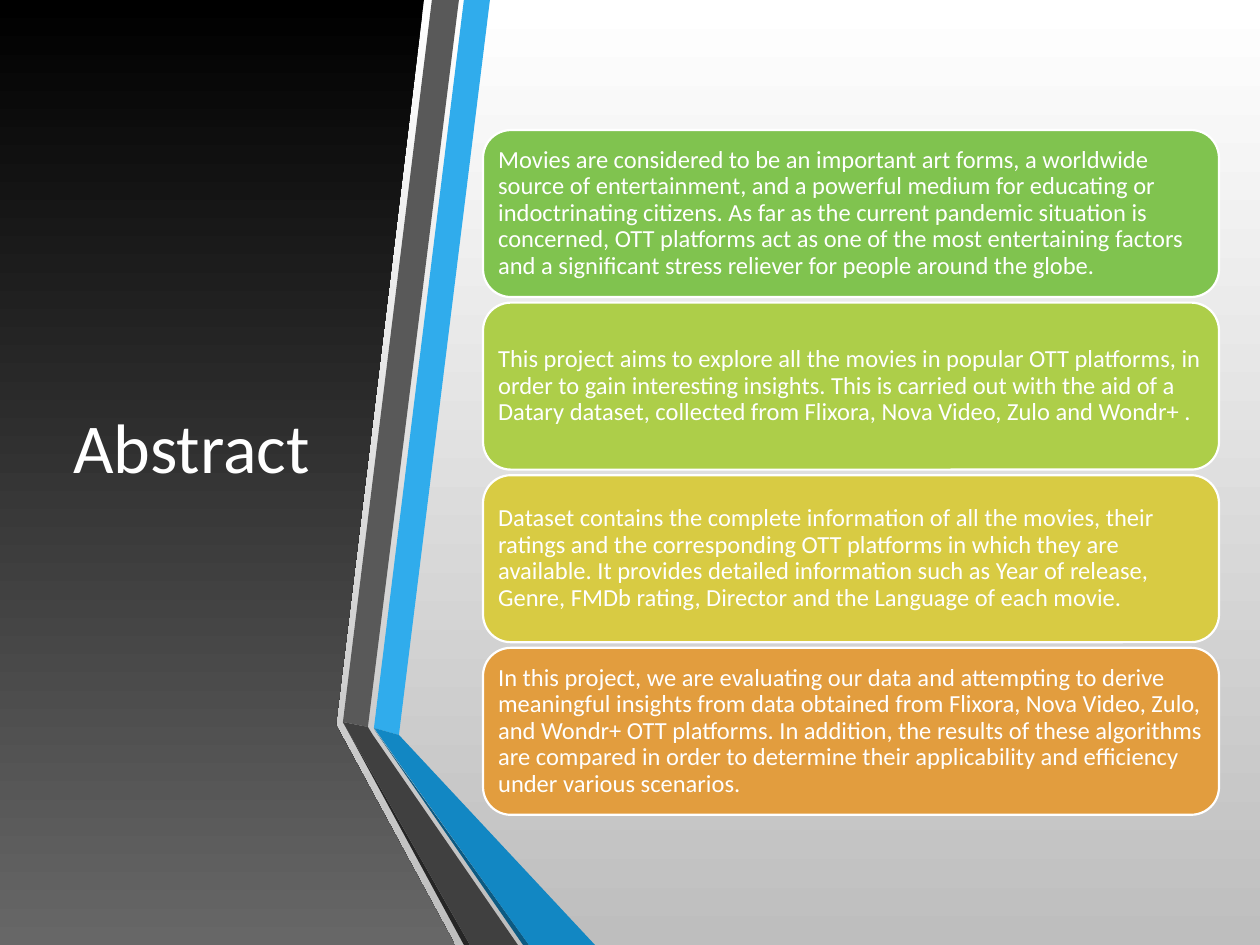
"""Build the Abstract slide: a dark title panel, folded ribbons and four text cards."""
from pptx import Presentation
from pptx import util as u
from pptx.dml.color import RGBColor
from pptx.enum import shapes, text

PX = 914400 / 126
FONT = "Calibri"
HUES = {
    "white": "FFFFFF", "silver": "BEBEBE", "black": "000000", "ash": "676767",
    "sky": "30ACEC", "blue": "1287C3", "navy": "0C5A82",
    "gray": "595959", "coal": "404040", "ink": "262626",
    "green": "80C34F", "lime": "ADCE49", "gold": "D8CB43", "orange": "E29D3E",
}
PANEL = [(0, 0), (424, 0), (336, 725), (455, 945), (0, 945)]
BANDS = [
    ("sky", [(374, 728), (399, 735), (490, 0), (464, 0)]),
    ("gray", [(459, 0), (432, 0), (343, 722), (368, 727)]),
    ("ink", [(343, 722), (464, 945), (470, 945)]),
    ("navy", [(374, 729), (523, 945), (529, 945)]),
    ("blue", [(374, 728), (529, 945), (595, 945), (399, 735)]),
    ("coal", [(518, 945), (373, 735), (368, 727), (343, 722), (470, 945)]),
]
CARDS = [
    ("green", "Movies are considered to be an important art forms, a worldwide "
     "source of entertainment, and a powerful medium for educating or "
     "indoctrinating citizens. As far as the current pandemic situation is "
     "concerned, OTT platforms act as one of the most entertaining factors "
     "and a significant stress reliever for people around the globe."),
    ("lime", "This project aims to explore all the movies in popular OTT platforms, in "
     "order to gain interesting insights. This is carried out with the aid of a "
     "Datary dataset, collected from Flixora, Nova Video, Zulo and Wondr+ ."),
    ("gold", "Dataset contains the complete information of all the movies, their "
     "ratings and the corresponding OTT platforms in which they are "
     "available. It provides detailed information such as Year of release, "
     "Genre, FMDb rating, Director and the Language of each movie."),
    ("orange", "In this project, we are evaluating our data and attempting to derive "
     "meaningful insights from data obtained from Flixora, Nova Video, "
     "Zulo, and Wondr+ OTT platforms. In addition, the results of these "
     "algorithms are compared in order to determine their applicability and "
     "efficiency under various scenarios."),
]


def px(n):
    """Turn px into EMU."""
    return u.Emu(round(n * PX))


def rgb(name):
    """Look up a colour by name."""
    return RGBColor.from_string(HUES[name])


def paint(fill, *names):
    """Fill with one colour, or with two from top to bottom."""
    if len(names) == 1:
        fill.solid()
        fill.fore_color.rgb = rgb(names[0])
        return
    fill.gradient()
    fill.gradient_angle = 270
    for stop, name in zip(fill.gradient_stops, names):
        stop.color.rgb = rgb(name)


def write(shape, words, size=14, hue="white", align=text.PP_ALIGN.LEFT, inset=7, lead=0.9):
    """Set the text of a shape and its format."""
    frame = shape.text_frame
    frame.word_wrap = True
    frame.auto_size = text.MSO_AUTO_SIZE.NONE
    frame.vertical_anchor = text.MSO_ANCHOR.MIDDLE
    frame.margin_left = frame.margin_right = px(inset)
    frame.margin_top = frame.margin_bottom = px(inset)
    para = frame.paragraphs[0]
    para.alignment, para.line_spacing = align, lead
    run = para.add_run()
    run.text = words
    run.font.name, run.font.size = FONT, u.Pt(size)
    run.font.color.rgb = rgb(hue)


def poly(slide, points, *names):
    """Draw a closed outline without a border."""
    pen = slide.shapes.build_freeform(*points[0], scale=PX)
    pen.add_line_segments(points[1:], close=True)
    shape = pen.convert_to_shape()
    shape.shadow.inherit = False
    shape.line.fill.background()
    paint(shape.fill, *names)


def card(slide, top, hue, words):
    """Draw a rounded card with its text."""
    shape = slide.shapes.add_shape(
        shapes.MSO_SHAPE.ROUNDED_RECTANGLE, px(483), px(top), px(736), px(167))
    shape.shadow.inherit = False
    paint(shape.fill, hue)
    shape.line.color.rgb, shape.line.width = rgb("white"), u.Pt(1.25)
    write(shape, words)


def head(slide, words):
    """Place the title on top of the panel."""
    title = slide.shapes.title
    title.element.getparent().append(title.element)
    title.left, title.top, title.width, title.height = px(55), px(94), px(273), px(703)
    write(title, words, size=40, align=text.PP_ALIGN.CENTER, lead=1.0)


def main():
    """Build and save the slide."""
    deck = Presentation()
    deck.slide_width, deck.slide_height = px(1260), px(945)
    slide = deck.slides.add_slide(deck.slide_layouts[5])
    paint(slide.background.fill, "white", "silver")
    poly(slide, PANEL, "black", "ash")
    head(slide, "Abstract")
    for hue, points in BANDS:
        poly(slide, points, hue)
    for i, (hue, words) in enumerate(CARDS):
        card(slide, 130 + 172.6 * i, hue, words)
    deck.save("out.pptx")


if __name__ == "__main__":
    main()
